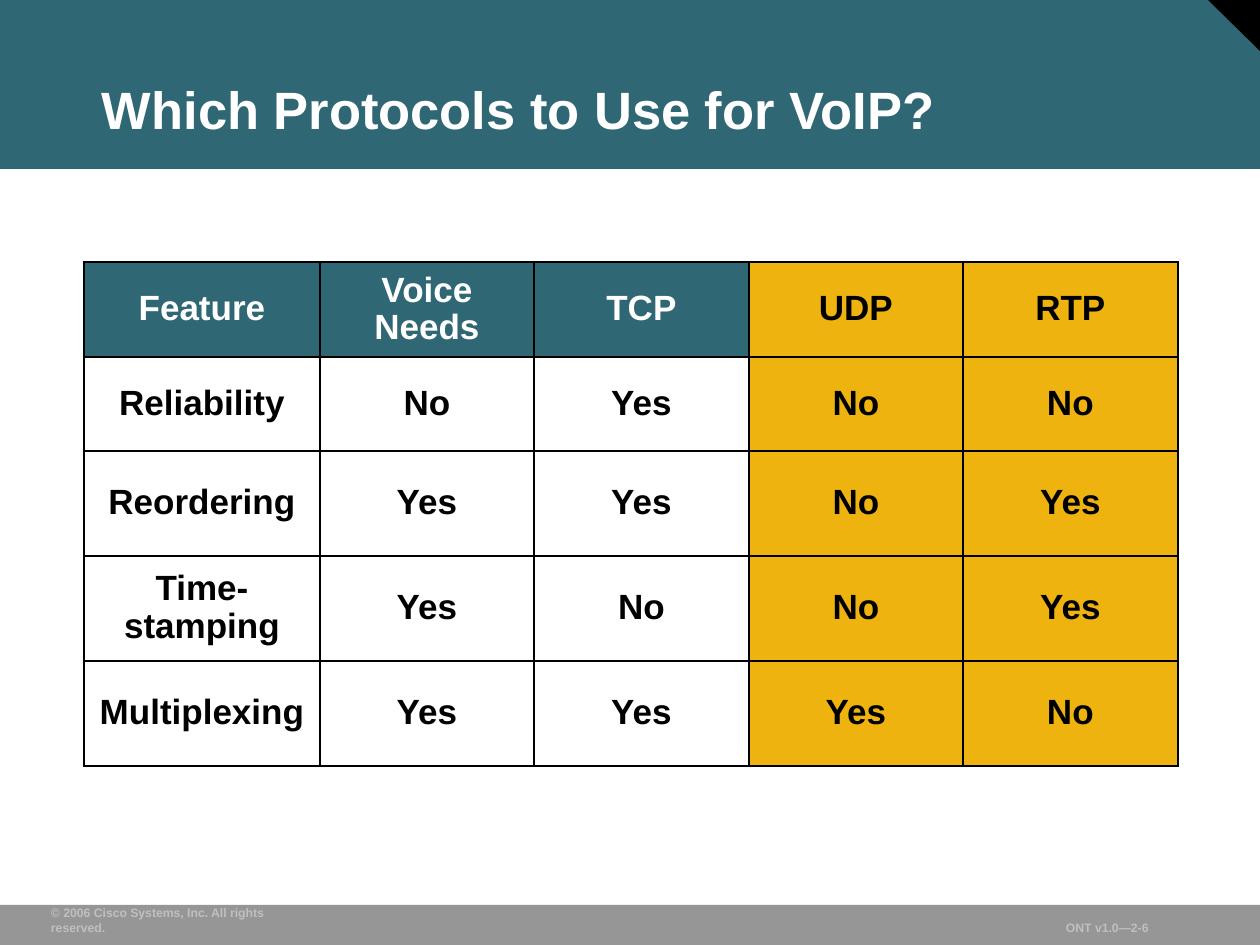
from lxml import etree
from pptx import Presentation
from pptx.dml.color import RGBColor
from pptx.enum.shapes import MSO_SHAPE
from pptx.enum.text import MSO_ANCHOR, PP_ALIGN
from pptx.oxml.ns import qn
from pptx.util import Pt

SCALE = 914400 // 126
RECT, WEDGE = MSO_SHAPE.RECTANGLE, MSO_SHAPE.RIGHT_TRIANGLE
MIDDLE, BOTTOM = MSO_ANCHOR.MIDDLE, MSO_ANCHOR.BOTTOM
LEFT, CENTER = PP_ALIGN.LEFT, PP_ALIGN.CENTER

TEAL, GOLD, GRAY, SILVER = "306774", "EEB30E", "969696", "C0C0C0"
BLACK, WHITE = "000000", "FFFFFF"


def px(n):
    return n * SCALE


def color(code):
    return RGBColor.from_string(code)


def write(frame, text, size=20, ink=BLACK, align=LEFT, space=1.0):
    """Put one bold Arial paragraph into a text frame."""
    para = frame.paragraphs[0]
    para.alignment, para.line_spacing = align, space
    para.space_before = Pt(0)
    run = para.add_run()
    run.text = text
    font = run.font
    font.name, font.size, font.bold = "Arial", Pt(size), True
    font.color.rgb = color(ink)


class Deck:
    def __init__(self, wide, high):
        self.prs = Presentation()
        self.prs.slide_width, self.prs.slide_height = px(wide), px(high)
        self.slide = self.prs.slides.add_slide(self.prs.slide_layouts[5])
        self.shapes = self.slide.shapes

    def block(self, kind, box, fill, turn=0):
        shape = self.shapes.add_shape(kind, *map(px, box))
        shape.shadow.inherit = False
        shape.fill.solid()
        shape.fill.fore_color.rgb = color(fill)
        shape.line.fill.background()
        shape.rotation = turn

    def inset(self, frame):
        frame.margin_left = frame.margin_right = px(12)
        frame.margin_top = frame.margin_bottom = px(6)
        frame.vertical_anchor = BOTTOM

    def title(self, box, text):
        head = self.shapes.title
        head.left, head.top, head.width, head.height = map(px, box)
        self.inset(head.text_frame)
        write(head.text_frame, text, size=30, ink=WHITE, space=0.9)
        # Bring the title in front of the header band
        head.element.getparent().append(head.element)

    def note(self, box, text):
        frame = self.shapes.add_textbox(*map(px, box)).text_frame
        frame.word_wrap = False
        self.inset(frame)
        write(frame, text, size=7, ink=SILVER)

    def edge(self, cell):
        props = cell._tc.get_or_add_tcPr()
        for i, side in enumerate(("lnL", "lnR", "lnT", "lnB")):
            line = etree.Element(qn("a:" + side), w=str(Pt(1.08)))
            fill = etree.SubElement(line, qn("a:solidFill"))
            etree.SubElement(fill, qn("a:srgbClr"), val=BLACK)
            props.insert(i, line)

    def table(self, left, top, cols, rows, data):
        box = map(px, (left, top, sum(cols), sum(rows)))
        grid = self.shapes.add_table(len(rows), len(cols), *box).table
        grid.first_row = grid.horz_banding = False
        for col, wide in zip(grid.columns, cols):
            col.width = px(wide)
        for row, high in zip(grid.rows, rows):
            row.height = px(high)
        for r, words in enumerate(data):
            for c, word in enumerate(words):
                self.cell(grid.cell(r, c), word, r == 0, c >= 3)

    def cell(self, cell, text, head, mark):
        cell.vertical_anchor = MIDDLE
        cell.margin_left = cell.margin_right = px(12)
        cell.margin_top = cell.margin_bottom = px(6)
        if head or mark:
            cell.fill.solid()
            cell.fill.fore_color.rgb = color(GOLD if mark else TEAL)
        else:
            cell.fill.background()
        ink = WHITE if head and not mark else BLACK
        write(cell.text_frame, text, ink=ink, align=CENTER, space=0.95)
        self.edge(cell)


def main():
    deck = Deck(1260, 945)

    # Header band, corner and footer bar
    deck.block(RECT, (0, 0, 1260, 169), TEAL)
    deck.block(WEDGE, (1207, -1, 53, 52), BLACK, turn=180)
    deck.block(RECT, (0, 905, 1260, 41), GRAY)
    deck.note((39, 915, 294, 26),
              "© 2006 Cisco Systems, Inc. All rights reserved.")
    deck.note((1054, 915, 158, 26), "ONT v1.0—2-6")

    # Title
    deck.title((90, 31, 1123, 116), "Which Protocols to Use for VoIP?")

    # Protocol table
    deck.table(84, 262, [236] + [214, 215] * 2, [95, 94] + [105] * 3, [
        ("Feature", "Voice Needs", "TCP", "UDP", "RTP"),
        ("Reliability", "No", "Yes", "No", "No"),
        ("Reordering", "Yes", "Yes", "No", "Yes"),
        ("Time-stamping", "Yes", "No", "No", "Yes"),
        ("Multiplexing", "Yes", "Yes", "Yes", "No"),
    ])

    deck.prs.save("out.pptx")


if __name__ == "__main__":
    main()
